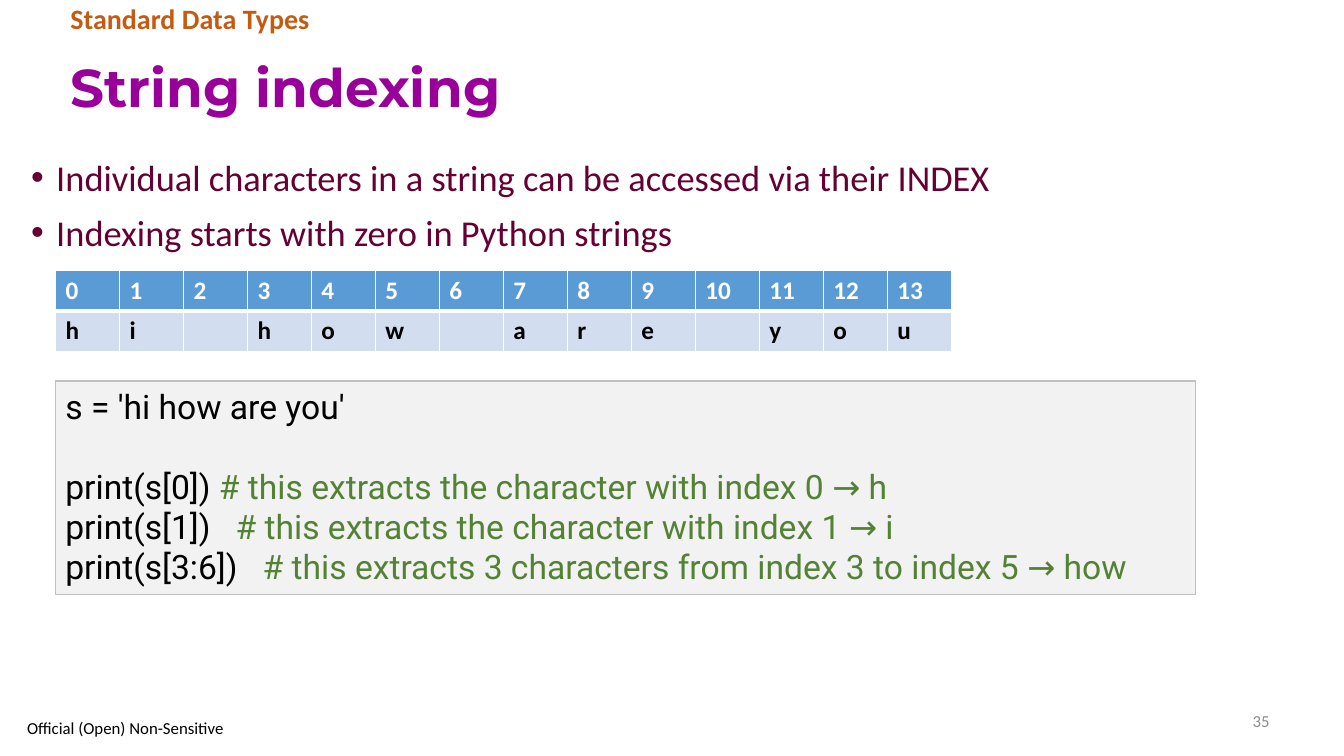
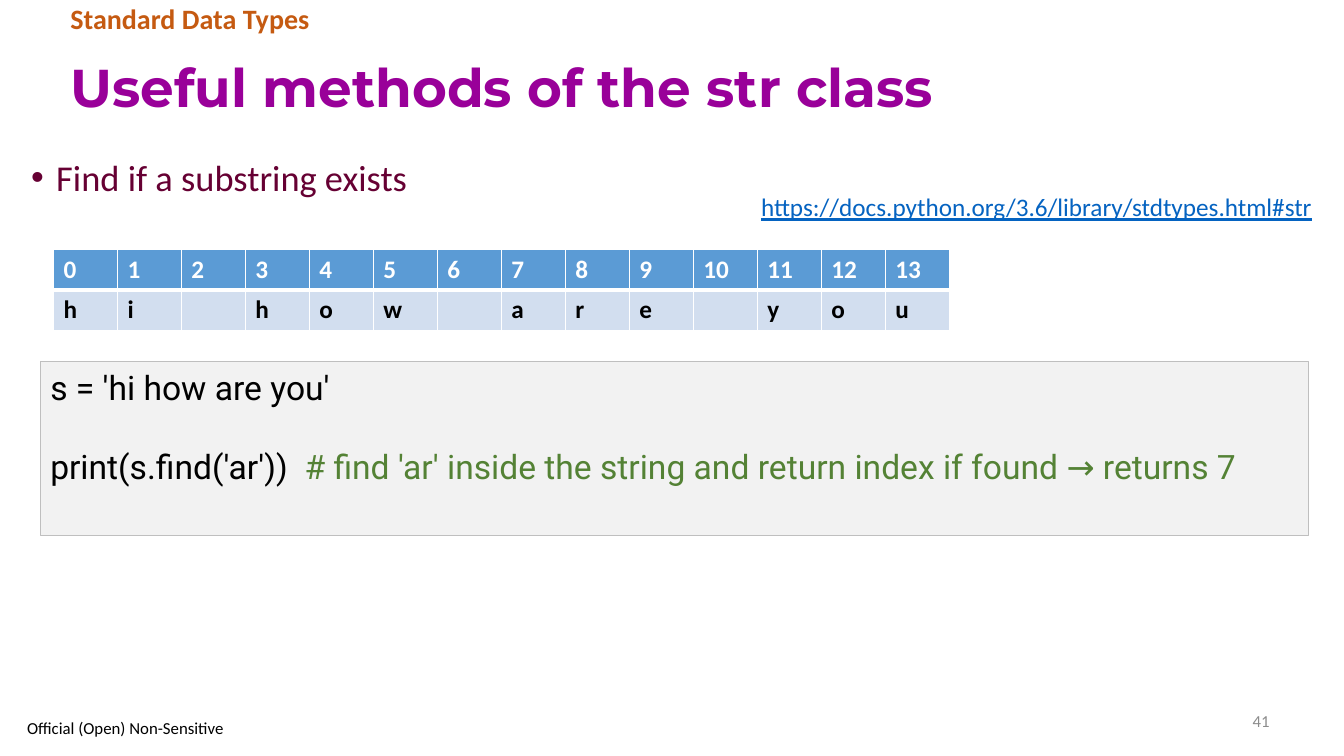
from lxml import etree
from pptx import Presentation, util as u
from pptx.dml.color import RGBColor
from pptx.enum import shapes, text
from pptx.oxml.ns import qn

BLACK, WHITE = "000000", "FFFFFF"
PHRASE = "hi how are you"


def rgb(value):
    return RGBColor.from_string(value)


class Deck:
    """Lecture style plus the slide being filled."""
    TITLE, TOPIC, BODY, LINK = "990099", "C55A11", "660033", "0563C1"
    NUMBER, COMMENT = "8C8C8C", "548235"
    CODE_FILL, CODE_LINE = "F2F2F2", "BFBFBF"
    HEADER_FILL, CELL_FILL = "5B9BD5", "D2DEEF"

    def __init__(self):
        self.deck = Presentation()
        self.deck.slide_width = u.Inches(13.33)
        self.deck.slide_height = u.Inches(7.5)

    def page(self, title, number):
        """Start a slide with its topic, title, number and footer."""
        self.slide = self.deck.slides.add_slide(self.deck.slide_layouts[6])
        middle = text.MSO_ANCHOR.MIDDLE
        heading = self.label(title, (0.6, 0.41, 12.09, 0.97), 38, self.TITLE,
                             "Montserrat", True, middle)
        topic = self.label("Standard Data Types", (0.6, 0, 10.34, 0.41), 20,
                           self.TOPIC, bold=True)
        heading.line_spacing = topic.line_spacing = 0.9
        count = self.label(str(number), (9.42, 6.95, 3.27, 0.4), 12,
                           self.NUMBER, anchor=middle)
        count.alignment = text.PP_ALIGN.RIGHT
        self.label("Official (Open) Non-Sensitive", (0.17, 7.09, 2.24, 0.26),
                   12, BLACK, anchor=middle)

    def style(self, para, size, color, font="Calibri", bold=False):
        para.font.size = u.Pt(size)
        para.font.name = font
        para.font.bold = bold
        para.font.color.rgb = rgb(color)

    def frame(self, place, anchor=text.MSO_ANCHOR.TOP):
        box = self.slide.shapes.add_textbox(*map(u.Inches, place))
        box.text_frame.word_wrap = True
        box.text_frame.vertical_anchor = anchor
        return box.text_frame

    def label(self, words, place, size, color, font="Calibri", bold=False,
              anchor=text.MSO_ANCHOR.TOP):
        para = self.frame(place, anchor).paragraphs[0]
        para.text = words
        self.style(para, size, color, font, bold)
        return para

    def link_text(self, address, place):
        para = self.label(address, place, 18, self.LINK)
        para.font.underline = True

    def bullets(self, items, height):
        frame = self.frame((0.21, 1.49, 12.96, height))
        for index, item in enumerate(items):
            para = frame.add_paragraph() if index else frame.paragraphs[0]
            para.text = item
            props = para._p.get_or_add_pPr()
            props.set("marL", str(u.Inches(0.25)))
            props.set("indent", str(-u.Inches(0.25)))
            etree.SubElement(props, qn("a:buFont"), typeface="Arial")
            etree.SubElement(props, qn("a:buChar"), char="•")
            if index:
                para.space_before = u.Pt(8)
            self.style(para, 26, self.BODY)

    def code(self, place, lines):
        """Code panel; each line is (code, comment), with a gap after the first."""
        panel = self.slide.shapes.add_shape(
            shapes.MSO_SHAPE.RECTANGLE, *map(u.Inches, place))
        panel.shadow.inherit = False
        panel.fill.solid()
        panel.fill.fore_color.rgb = rgb(self.CODE_FILL)
        panel.line.color.rgb = rgb(self.CODE_LINE)
        panel.line.width = u.Pt(0.75)
        frame = panel.text_frame
        frame.word_wrap = True
        frame.vertical_anchor = text.MSO_ANCHOR.TOP
        for index, (command, comment) in enumerate(lines):
            para = frame.add_paragraph() if index else frame.paragraphs[0]
            para.alignment = text.PP_ALIGN.LEFT
            if index == 1:
                para.space_before = u.Pt(28)
            self.style(para, 24, BLACK, "Roboto")
            for words, color in ((command, BLACK), (comment, self.COMMENT)):
                if words:
                    span = para.add_run()
                    span.text = words
                    span.font.color.rgb = rgb(color)

    def borders(self, cell, **widths):
        """White cell edges, 1 point unless given by L, R, T or B."""
        props = cell._tc.get_or_add_tcPr()
        for side in "LRTB":
            line = etree.SubElement(props, qn("a:ln" + side),
                                    w=str(u.Pt(widths.get(side, 1))))
            fill = etree.SubElement(line, qn("a:solidFill"))
            etree.SubElement(fill, qn("a:srgbClr"), val=WHITE)

    def index_table(self, phrase, left, top):
        """Positions above the characters of a phrase."""
        table = self.slide.shapes.add_table(
            2, len(phrase), *map(u.Inches, (left, top, 8.89, 0.81))).table
        rows = ((range(len(phrase)), self.HEADER_FILL, WHITE, {"B": 3}),
                (phrase, self.CELL_FILL, BLACK, {"T": 3}))
        for row, (values, fill, color, edges) in enumerate(rows):
            for column, value in enumerate(values):
                cell = table.cell(row, column)
                self.borders(cell, **edges)
                cell.fill.solid()
                cell.fill.fore_color.rgb = rgb(fill)
                para = cell.text_frame.paragraphs[0]
                para.text = str(value).strip()
                self.style(para, 18, color, bold=True)


def main():
    show = Deck()
    assignment = (f"s = '{PHRASE}'", "")

    show.page("String indexing", 35)
    show.bullets(
        ["Individual characters in a string can be accessed via their INDEX",
         "Indexing starts with zero in Python strings"], 1.19)
    show.code((0.55, 3.78, 11.31, 2.12), [
        assignment,
        ("print(s[0]) ", "# this extracts the character with index 0 → h"),
        ("print(s[1])   ", "# this extracts the character with index 1 → i"),
        ("print(s[3:6])   ",
         "# this extracts 3 characters from index 3 to index 5 → how")])
    show.index_table(PHRASE, 0.55, 2.68)

    show.page("Useful methods of the str class", 41)
    show.bullets(["Find if a substring exists"], 0.55)
    show.code((0.4, 3.59, 12.58, 1.72), [
        assignment,
        ("print(s.find('ar'))  ",
         "# find 'ar' inside the string and return index if found → returns 7")])
    show.link_text("https://docs.python.org/3.6/library/stdtypes.html#str",
                   (7.45, 1.85, 5.73, 0.4))
    show.index_table(PHRASE, 0.53, 2.47)

    show.deck.save("out.pptx")


if __name__ == "__main__":
    main()
